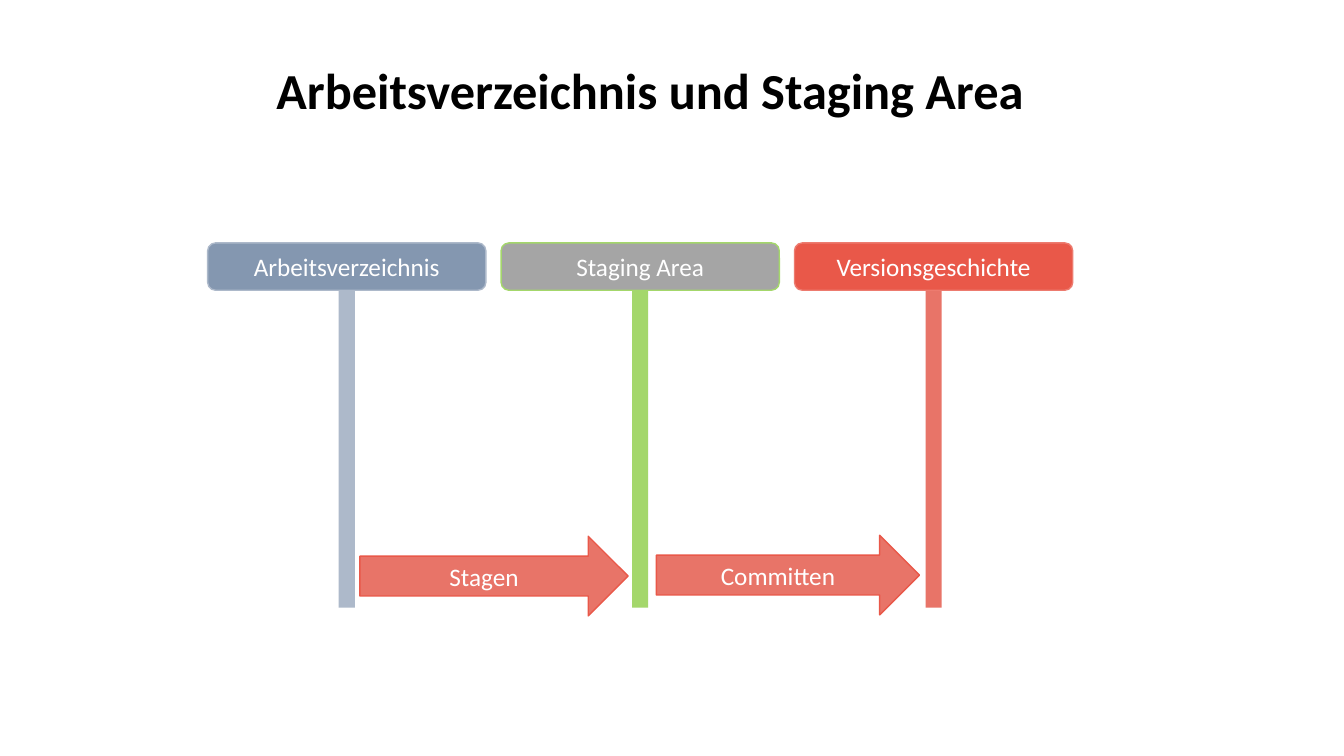
from dataclasses import dataclass

import pptx
import pptx.dml.color
import pptx.enum.shapes
import pptx.enum.text
import pptx.slide
import pptx.text.text
import pptx.util

Inches = pptx.util.Inches
ShapeType = pptx.enum.shapes.MSO_SHAPE


@dataclass(frozen=True)
class Theme:
    font: str = "Calibri"
    title_size: int = 36
    label_size: int = 18
    black: str = "000000"
    white: str = "FFFFFF"
    slate: str = "8497B0"
    light_slate: str = "ADB9CA"
    gray: str = "A5A5A5"
    green: str = "A4D76B"
    red: str = "E95849"
    light_red: str = "ED7B6F"
    coral: str = "E87468"


@dataclass(frozen=True)
class Box:
    left: float
    top: float
    width: float
    height: float


@dataclass(frozen=True)
class Lane:
    label: str
    fill: str
    outline: str
    stem: str


@dataclass(frozen=True)
class Step:
    label: str
    box: Box


THEME = Theme()
LANES = (
    Lane("Arbeitsverzeichnis", THEME.slate, THEME.light_slate, THEME.light_slate),
    Lane("Staging Area", THEME.gray, THEME.green, THEME.green),
    Lane("Versionsgeschichte", THEME.red, THEME.light_red, THEME.coral),
)
STEPS = (
    Step("Stagen", Box(3.57, 5.32, 2.66, 0.79)),
    Step("Committen", Box(6.51, 5.31, 2.61, 0.79)),
)
FIRST_LANE_LEFT = 2.06
LANE_PITCH = 2.91
HEADER_WIDTH = 2.76
STEM_WIDTH = 0.16


def color(value: str) -> pptx.dml.color.RGBColor:
    return pptx.dml.color.RGBColor.from_string(value)


def write_text(
    frame: pptx.text.text.TextFrame, text: str, size: int, ink: str, bold: bool = False
) -> None:
    frame.word_wrap = True
    frame.vertical_anchor = pptx.enum.text.MSO_ANCHOR.MIDDLE
    paragraph = frame.paragraphs[0]
    paragraph.alignment = pptx.enum.text.PP_ALIGN.CENTER
    run = paragraph.add_run()
    run.text = text
    run.font.name = THEME.font
    run.font.size = pptx.util.Pt(size)
    run.font.bold = bold
    run.font.color.rgb = color(ink)


def add_block(
    slide: pptx.slide.Slide,
    kind: ShapeType,
    box: Box,
    fill: str,
    outline: str = "",
    label: str = "",
) -> None:
    shape = slide.shapes.add_shape(
        kind, Inches(box.left), Inches(box.top), Inches(box.width), Inches(box.height)
    )
    shape.shadow.inherit = False
    shape.fill.solid()
    shape.fill.fore_color.rgb = color(fill)
    if outline:
        shape.line.color.rgb = color(outline)
        shape.line.width = pptx.util.Pt(1)
    else:
        shape.line.fill.background()
    if label:
        write_text(shape.text_frame, label, THEME.label_size, THEME.white)


def add_title(slide: pptx.slide.Slide, text: str) -> None:
    title = slide.shapes.title
    title.left, title.top = Inches(0.39), Inches(0.53)
    title.width, title.height = Inches(12.12), Inches(0.71)
    write_text(title.text_frame, text, THEME.title_size, THEME.black, bold=True)


def add_lane(slide: pptx.slide.Slide, lane: Lane, index: int) -> None:
    left = FIRST_LANE_LEFT + index * LANE_PITCH
    stem_left = left + (HEADER_WIDTH - STEM_WIDTH) / 2
    add_block(
        slide, ShapeType.RECTANGLE, Box(stem_left, 2.8, STEM_WIDTH, 3.23), lane.stem
    )
    add_block(
        slide,
        ShapeType.ROUNDED_RECTANGLE,
        Box(left, 2.41, HEADER_WIDTH, 0.47),
        lane.fill,
        lane.outline,
        lane.label,
    )


def add_step(slide: pptx.slide.Slide, step: Step) -> None:
    add_block(
        slide, ShapeType.RIGHT_ARROW, step.box, THEME.coral, THEME.red, step.label
    )


def main() -> None:
    presentation = pptx.Presentation()
    presentation.slide_width = Inches(13.33)
    presentation.slide_height = Inches(7.5)
    slide = presentation.slides.add_slide(presentation.slide_layouts[5])
    add_title(slide, "Arbeitsverzeichnis und Staging Area")
    for index, lane in enumerate(LANES):
        add_lane(slide, lane, index)
    for step in STEPS:
        add_step(slide, step)
    presentation.save("out.pptx")


if __name__ == "__main__":
    main()
